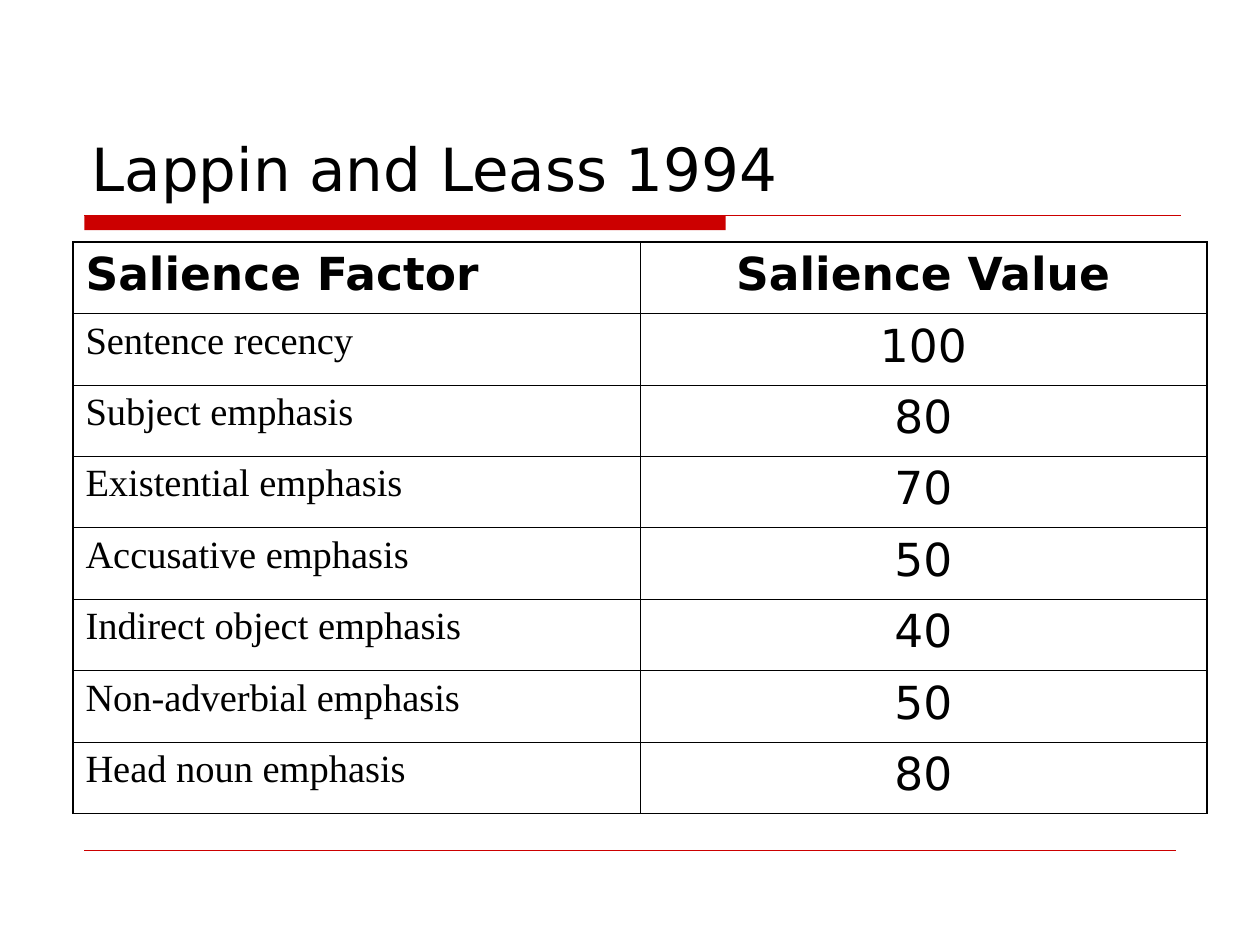
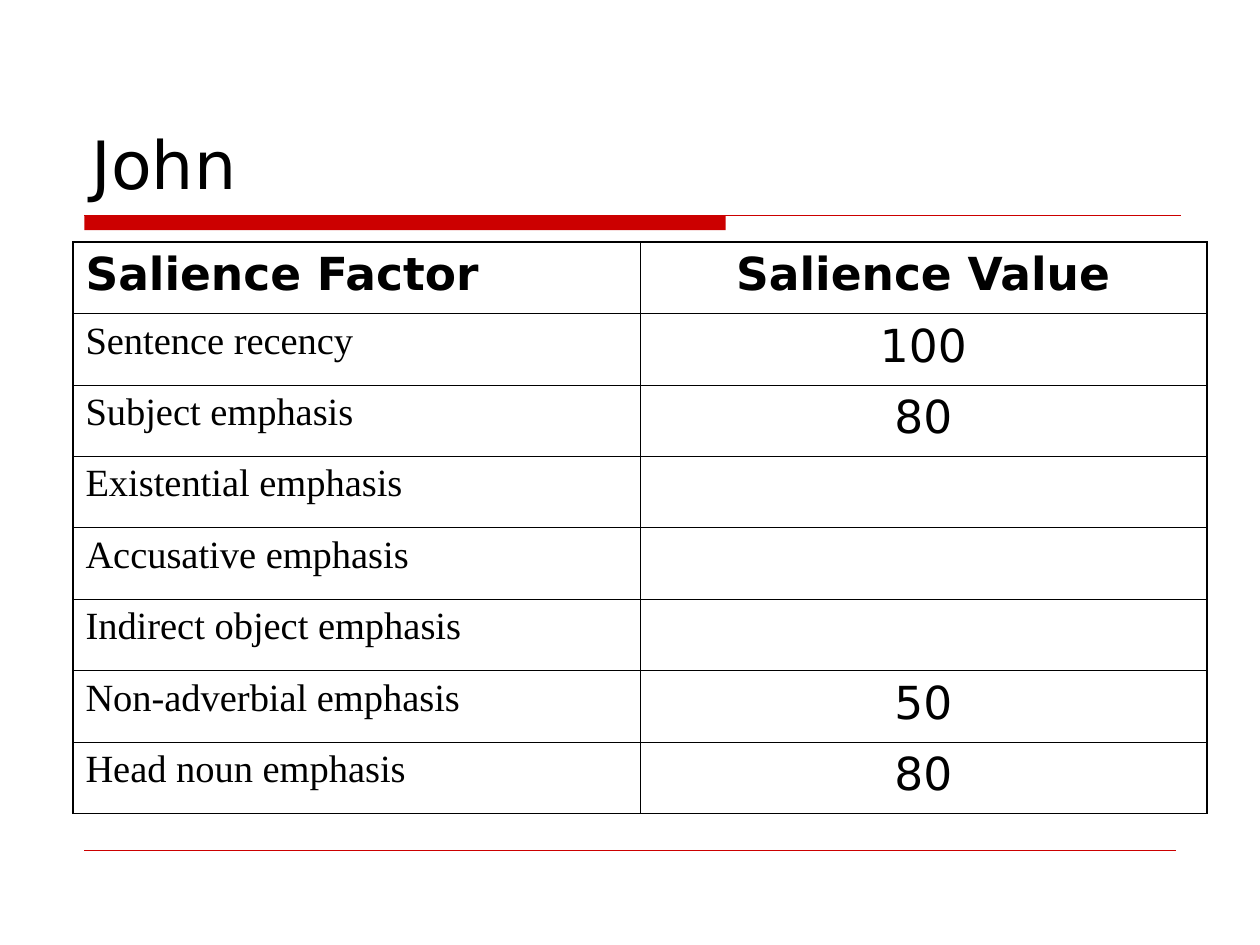
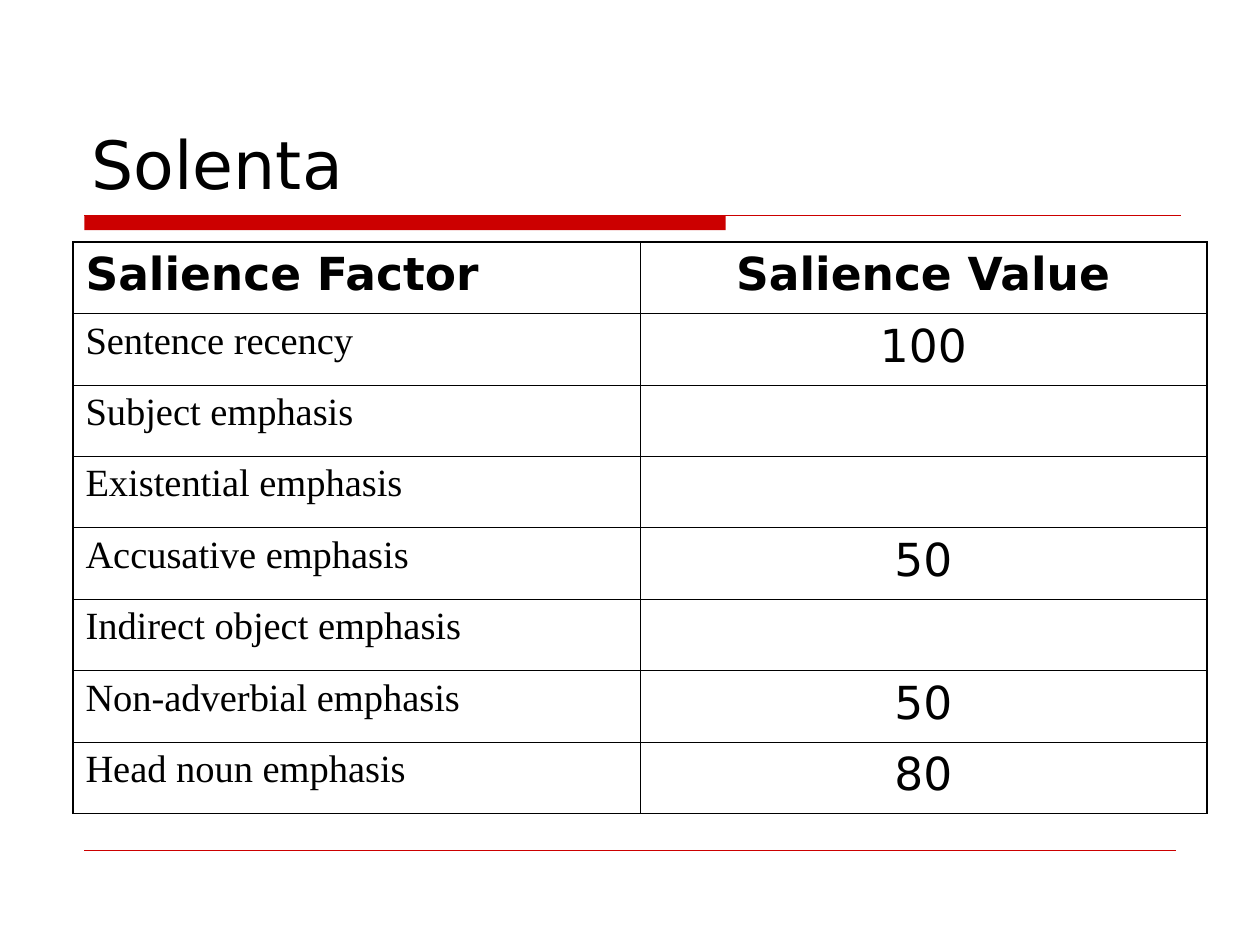
from dataclasses import dataclass

from lxml import etree
from pptx import Presentation
from pptx.dml.color import RGBColor
from pptx.enum.shapes import MSO_CONNECTOR, MSO_SHAPE
from pptx.enum.text import MSO_ANCHOR, PP_ALIGN
from pptx.oxml.ns import qn
from pptx.util import Cm, Pt

RECTANGLE = MSO_SHAPE.RECTANGLE
STRAIGHT = MSO_CONNECTOR.STRAIGHT
BOTTOM = MSO_ANCHOR.BOTTOM
LEFT, CENTER = PP_ALIGN.LEFT, PP_ALIGN.CENTER

HEADER = ("Salience Factor", "Salience Value")
FACTORS = [
    "Sentence recency",
    "Subject emphasis",
    "Existential emphasis",
    "Accusative emphasis",
    "Indirect object emphasis",
    "Non-adverbial emphasis",
    "Head noun emphasis",
]
SLIDES = [
    ("Lappin and Leass 1994", 34, ["100", "80", "70", "50", "40", "50", "80"]),
    ("John", 38, ["100", "80", "", "", "", "50", "80"]),
    ("Solenta", 38, ["100", "", "", "50", "", "50", "80"]),
]


@dataclass(frozen=True)
class Theme:
    text: RGBColor = RGBColor(0x00, 0x00, 0x00)
    accent: RGBColor = RGBColor(0xCC, 0x00, 0x00)
    sans: str = "DejaVu Sans"
    serif: str = "Times New Roman"
    value_size: int = 26
    factor_size: int = 22
    outer_border: float = 1.08
    inner_border: float = 0.45


THEME = Theme()
MARGIN = Cm(1.7)
BAND_TOP = Cm(4.34)
FOOTER_TOP = Cm(17.15)
ROW_HEIGHT = Cm(1.44)
COL_WIDTH = Cm(11.43)


def style(p, size, font, bold=False, align=LEFT):
    p.alignment = align
    p.font.size = Pt(size)
    p.font.name = font
    p.font.bold = bold
    p.font.color.rgb = THEME.text


def add_rule(slide, top, right, width):
    line = slide.shapes.add_connector(STRAIGHT, MARGIN, top, right, top)
    line.line.color.rgb = THEME.accent
    line.line.width = Pt(width)
    etree.SubElement(line._element.spPr, qn("a:effectLst"))


def add_frame(slide):
    band = slide.shapes.add_shape(RECTANGLE, MARGIN, BAND_TOP, Cm(12.93), Cm(0.3))
    band.shadow.inherit = False
    band.fill.solid()
    band.fill.fore_color.rgb = THEME.accent
    band.line.fill.background()
    add_rule(slide, BAND_TOP, Cm(23.8), 0.75)
    add_rule(slide, FOOTER_TOP, Cm(23.7), 0.25)


def add_title(slide, title, size):
    tf = slide.shapes.add_textbox(Cm(1.6), Cm(0.84), Cm(22.23), Cm(3.38)).text_frame
    tf.word_wrap = True
    tf.vertical_anchor = BOTTOM
    p = tf.paragraphs[0]
    p.text = title
    style(p, size, THEME.sans)


def set_borders(cell, outer_sides):
    tc_pr = cell._tc.get_or_add_tcPr()
    for i, (side, outer) in enumerate(outer_sides.items()):
        width = THEME.outer_border if outer else THEME.inner_border
        ln = etree.Element(qn(f"a:ln{side}"), w=str(Pt(width)))
        fill = etree.SubElement(ln, qn("a:solidFill"))
        etree.SubElement(fill, qn("a:srgbClr"), val=str(THEME.text))
        tc_pr.insert(i, ln)


def add_salience_table(slide, values):
    rows = [HEADER, *zip(FACTORS, values)]
    n_rows, n_cols = len(rows), len(HEADER)
    table = slide.shapes.add_table(
        n_rows, n_cols, Cm(1.47), Cm(4.88), COL_WIDTH * n_cols, ROW_HEIGHT * n_rows
    ).table
    table.first_row = table.horz_banding = False
    for r, row in enumerate(rows):
        table.rows[r].height = ROW_HEIGHT
        for c, text in enumerate(row):
            cell = table.cell(r, c)
            cell.fill.background()
            set_borders(cell, {
                "L": c == 0, "R": c == n_cols - 1, "T": r == 0, "B": r == n_rows - 1,
            })
            p = cell.text_frame.paragraphs[0]
            p.text = text
            if r > 0 and c == 0:
                style(p, THEME.factor_size, THEME.serif)
            else:
                style(p, THEME.value_size, THEME.sans, r == 0, CENTER if c else LEFT)


def main():
    prs = Presentation()
    prs.slide_width, prs.slide_height = Cm(25.4), Cm(19.05)
    for title, size, values in SLIDES:
        slide = prs.slides.add_slide(prs.slide_layouts[6])
        add_frame(slide)
        add_title(slide, title, size)
        add_salience_table(slide, values)
    prs.save("out.pptx")


if __name__ == "__main__":
    main()
